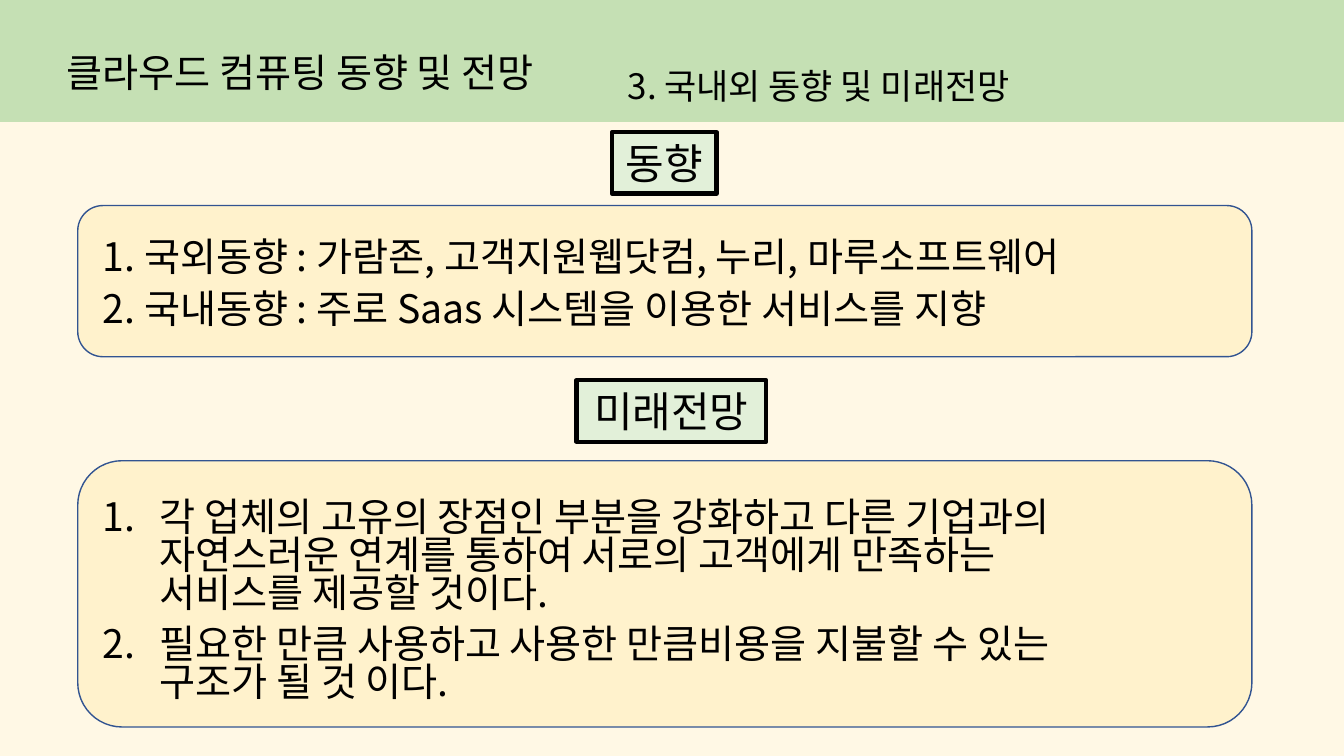
import pptx
import pptx.util
import pptx.dml.color
import pptx.enum.shapes
import pptx.enum.text
import pptx.oxml
import pptx.oxml.ns
from dataclasses import dataclass

Cm, Pt = pptx.util.Cm, pptx.util.Pt
SHAPES = pptx.enum.shapes.MSO_SHAPE
TEXT = pptx.enum.text


@dataclass(frozen=True)
class Theme:
    font: str = "Noto Sans CJK KR"
    ink: str = "000000"
    background: str = "FFF8E5"
    band: str = "C5E0B4"
    panel: str = "FFF2CC"
    panel_line: str = "325491"
    label: str = "E2F0D9"
    body_size: int = 28
    subtitle_size: int = 25
    label_size: int = 30


theme = Theme()


def add_block(kind, place, fill, line=None, width=0):
    block = page.shapes.add_shape(kind, *(Cm(length) for length in place))
    block.shadow.inherit = False
    block.fill.solid()
    block.fill.fore_color.rgb = pptx.dml.color.RGBColor.from_string(fill)
    if line:
        block.line.color.rgb = pptx.dml.color.RGBColor.from_string(line)
        block.line.width = Pt(width)
    else:
        block.line.fill.background()
    return block


def add_text(para, text, size):
    for number, part in enumerate(text.split("\n")):
        if number:
            para.add_line_break()
        span = para.add_run()
        span.text = part
        span.font.size = Pt(size)
        span.font.name = theme.font
        span.font.color.rgb = pptx.dml.color.RGBColor.from_string(theme.ink)
        east_asian = pptx.oxml.parse_xml(
            f'<a:ea {pptx.oxml.ns.nsdecls("a")} typeface="{theme.font}"/>')
        span.font.element.append(east_asian) if hasattr(span.font, "element") else \
            span.font.fill and span._r.get_or_add_rPr().append(east_asian)


# Page
deck = pptx.Presentation()
deck.slide_width, deck.slide_height = Cm(33.87), Cm(19.05)
page = deck.slides.add_slide(deck.slide_layouts[5])
page.background.fill.solid()
page.background.fill.fore_color.rgb = pptx.dml.color.RGBColor.from_string(theme.background)

# Header band and title
title = page.shapes.title
band = add_block(SHAPES.RECTANGLE, (0, 0, 33.87, 3.07), theme.band)
title.element.addprevious(band.element)
title.left, title.top, title.width, title.height = Cm(1.42), Cm(0.61), Cm(14.15), Cm(2.57)
title.text_frame.auto_size = TEXT.MSO_AUTO_SIZE.NONE
title.text_frame.vertical_anchor = TEXT.MSO_ANCHOR.MIDDLE
para = title.text_frame.paragraphs[0]
para.alignment = TEXT.PP_ALIGN.LEFT
para.line_spacing = 0.9
add_text(para, "클라우드 컴퓨팅 동향 및 전망", theme.body_size)

# Section name
box = page.shapes.add_textbox(Cm(15.57), Cm(1.5), Cm(11.66), Cm(1.32))
box.text_frame.word_wrap = False
add_text(box.text_frame.paragraphs[0], "3. 국내외 동향 및 미래전망", theme.subtitle_size)

# Sections: label, label place, panel top and height, list top and height, numbering, items
sections = [
    ("동향", (15.42, 3.33, 2.64, 1.55), (5.18, 3.81), (5.97, 3.0), False,
     ["1. 국외동향 : 가람존, 고객지원웹닷컴, 누리, 마루소프트웨어",
      "2. 국내동향 : 주로 Saas 시스템을 이용한 서비스를 지향"]),
    ("미래전망", (14.53, 9.58, 4.78, 1.55), (11.61, 6.71), (12.52, 5.54), True,
     ["각 업체의 고유의 장점인 부분을 강화하고 다른 기업과의\n"
      "자연스러운 연계를 통하여 서로의 고객에게 만족하는\n서비스를 제공할 것이다.",
      "필요한 만큼 사용하고 사용한 만큼비용을 지불할 수 있는\n구조가 될 것 이다."]),
]

for name, label_place, panel, listing, numbered, items in sections:
    # Panel
    add_block(SHAPES.ROUNDED_RECTANGLE, (1.96, panel[0], 29.59, panel[1]),
              theme.panel, theme.panel_line, 1)

    # Label
    label = add_block(SHAPES.RECTANGLE, label_place, theme.label, theme.ink, 3)
    label.text_frame.word_wrap = False
    label.text_frame.paragraphs[0].alignment = TEXT.PP_ALIGN.CENTER
    add_text(label.text_frame.paragraphs[0], name, theme.label_size)

    # List
    box = page.shapes.add_textbox(Cm(2.34), Cm(listing[0]), Cm(29.21), Cm(listing[1]))
    box.text_frame.word_wrap = True
    for number, item in enumerate(items):
        para = box.text_frame.add_paragraph() if number else box.text_frame.paragraphs[0]
        para.line_spacing = 0.8
        para.space_before = Pt(10)
        if numbered:
            properties = para._p.get_or_add_pPr()
            properties.set("marL", str(Cm(1.43)))
            properties.set("indent", str(-Cm(1.43)))
            properties.append(pptx.oxml.parse_xml(
                f'<a:buAutoNum {pptx.oxml.ns.nsdecls("a")} type="arabicPeriod"/>'))
        add_text(para, item, theme.body_size)

deck.save("out.pptx")
